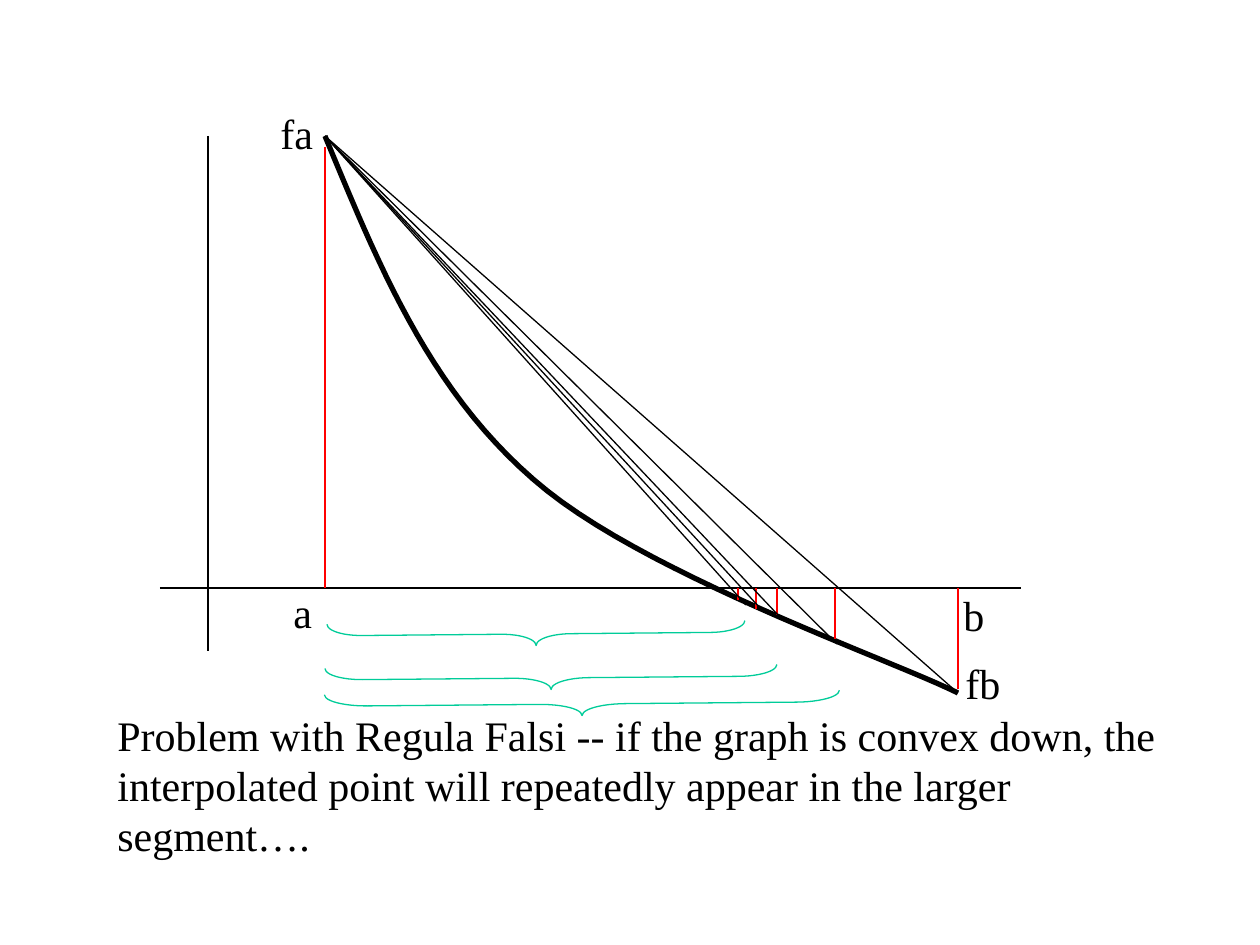
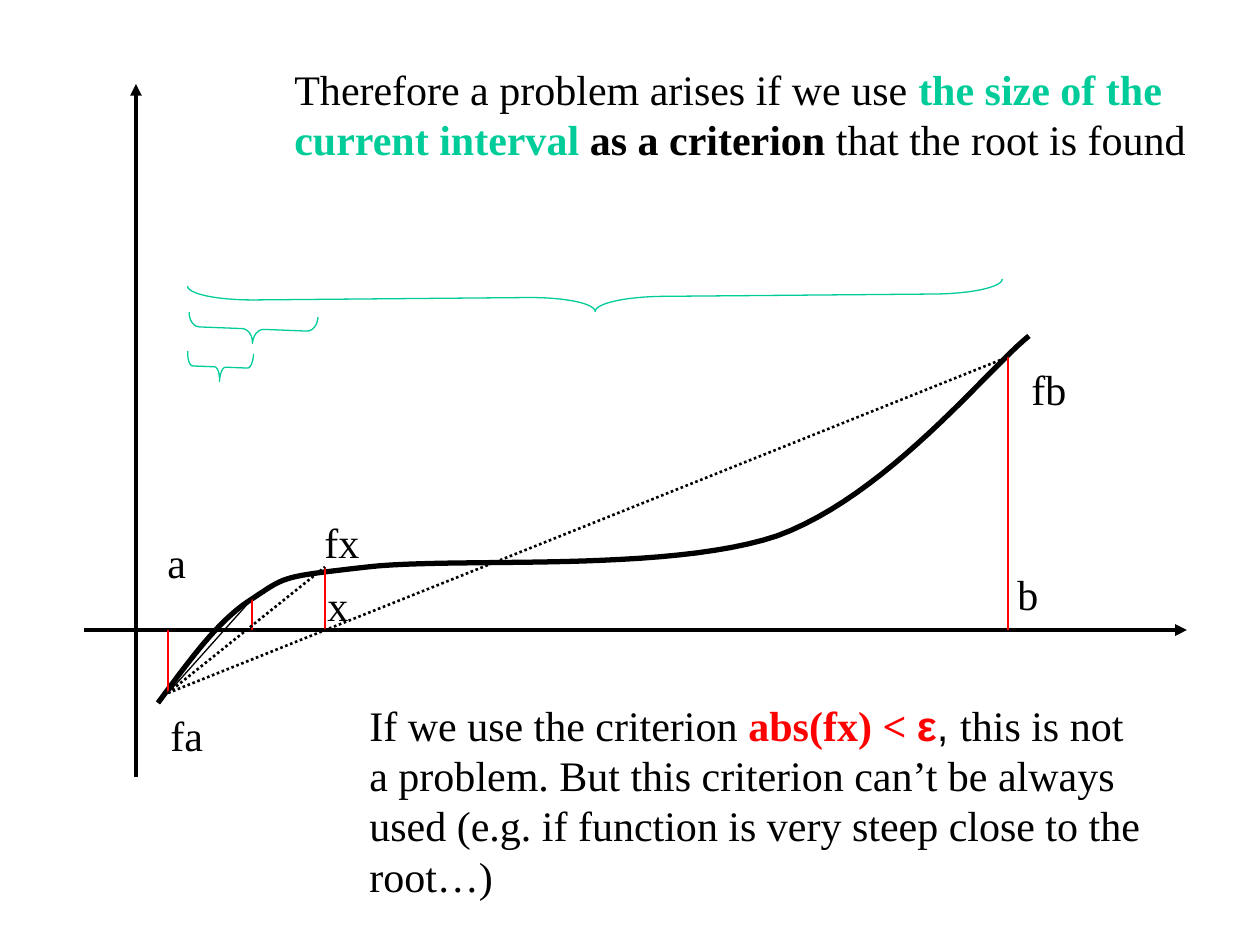
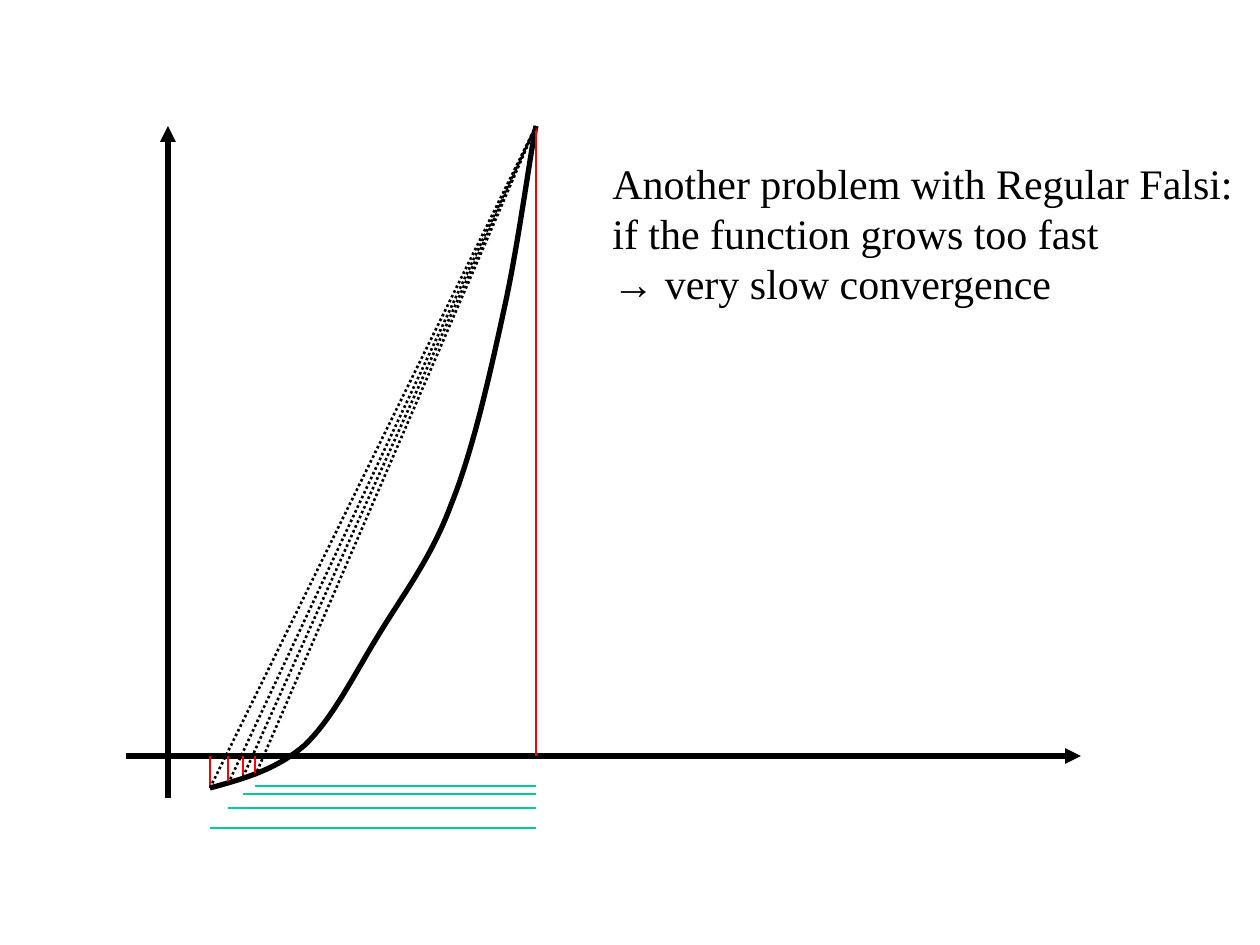
"""Build three slides on the weaknesses of the Regula Falsi method."""
from lxml.etree import SubElement
from pptx import Presentation
from pptx.dml.color import RGBColor
from pptx.enum.dml import MSO_LINE
from pptx.enum.shapes import MSO_CONNECTOR, MSO_SHAPE
from pptx.enum.text import MSO_AUTO_SIZE
from pptx.oxml.ns import qn
from pptx.util import Pt

PX = 914400 / 126
COLORS = {"ink": "000000", "drop": "FF0000", "interval": "00CC99"}
SERIF, SANS = "Times New Roman", "Arial"
TEXT_SIZE = 24
CURVE_WEIGHT = 3
CURVE_STEPS = 24
LABEL_HEIGHT = 63
BREAK = "\n"

CONVEX = {
    "axes": [((208, 136), (208, 651), 0.75), ((160, 588), (1021, 588), 1.5)],
    "arrows": False,
    "curve": [(325, 136), (377, 261), (427, 387), (533, 479),
              (638, 572), (887, 658), (958, 693)],
    "base": 588,
    "drops": [(325, 147, 1.5), (958, 689, 0.75), (835, 639, 0.75),
              (777, 615, 0.75), (756, 609, 0.75), (738, 600, 0.75)],
    "chords": [((336, 147), (837, 644), 0.75, False)]
    + [((325, 136), end, 0.75, False)
       for end in [(779, 616), (761, 609), (746, 605), (958, 693)]],
    "braces": [(536, 634, 418, 23, 89.5), (551, 678, 452, 23, 89.5),
               (582, 704, 515, 23, 89.5)],
    "intervals": [],
    "labels": [("a", 281, 580, 44), ("b", 951, 583, 45),
               ("fb", 953, 651, 60), ("fa", 268, 101, 58)],
    "notes": [((105, 703, 1071, 164), True, [
        [("Problem with Regula Falsi -- if the graph is convex down, the "
          "interpolated point will repeatedly appear in the larger segment….",)],
    ])],
}

CRITERION = {
    "axes": [((136, 777), (136, 84), 2.25), ((84, 630), (1187, 630), 2.25)],
    "arrows": True,
    "curve": [(158, 703), (188, 663), (217, 621), (252, 599),
              (287, 576), (280, 577), (368, 567),
              (455, 557), (667, 573), (777, 536),
              (887, 496), (987, 370), (1029, 336)],
    "base": 630,
    "drops": [(168, 693, 0.75), (1008, 357, 0.75), (325, 567, 0.75), (252, 599, 0.75)],
    "chords": [((168, 693), (1008, 357), 1.5, True),
               ((168, 693), (325, 567), 1.5, True),
               ((168, 693), (252, 599), 0.75, False)],
    "braces": [(595, 297, 815, 29, 89.5), (253, 329, 129, 29, 92.2),
               (220, 367, 66, 29, 92.2)],
    "intervals": [],
    "labels": [("a", 155, 530, 44), ("b", 1005, 562, 45), ("fa", 158, 703, 58),
               ("fb", 1019, 357, 60), ("x", 315, 573, 45), ("fx", 312, 510, 60)],
    "notes": [
        ((282, 57, 917, 113), False, [
            [("Therefore a problem arises if we use ",),
             ("the size of the", "interval", True)],
            [("current interval", "interval", True),
             (" as a criterion", "ink", True),
             (" that the root is found",)],
        ]),
        ((357, 693, 796, 214), False, [
            [("If we use the criterion ",), ("abs(fx) < ", "drop", True),
             ("ε", "drop", True, SANS), (", ", "ink", False, SANS),
             ("this is not",), (BREAK,),
             ("a problem. But this criterion can’t be always",)],
            [("used (e.g. if function is very steep close to the",), (BREAK,),
             ("root…)",)],
        ]),
    ],
}

STEEP_TOP = (536, 126)
STEEP_POINTS = [(210, 788, 828), (228, 784, 808), (243, 777, 794), (255, 776, 786)]
STEEP = {
    "axes": [((168, 798), (168, 126), 3), ((126, 756), (1081, 756), 3)],
    "arrows": True,
    "curve": [(210, 788), (243, 779), (276, 770), (305, 745),
              (333, 718), (354, 675), (378, 636),
              (402, 596), (431, 559), (451, 505),
              (473, 451), (490, 374), (504, 310),
              (518, 247), (530, 156), STEEP_TOP],
    "base": 756,
    "drops": [(x, y, 1.5) for x, y, _ in STEEP_POINTS] + [(*STEEP_TOP, 1.5)],
    "chords": [((x, y), STEEP_TOP, 1.5, True) for x, y, _ in STEEP_POINTS],
    "braces": [],
    "intervals": [((x, level), (STEEP_TOP[0], level)) for x, _, level in STEEP_POINTS],
    "labels": [],
    "notes": [((600, 151, 660, 164), True, [
        [("Another problem with Regular Falsi: if the function grows too fast",)],
        [("→", "ink", False, SANS), (" very slow convergence",)],
    ])],
}


def emu(*lengths):
    return [round(length * PX) for length in lengths]


def rgb(color):
    return RGBColor.from_string(COLORS[color])


def stroke(line, color, weight):
    line.color.rgb = rgb(color)
    line.width = Pt(weight)


def add_line(slide, start, end, color, weight, dotted=False, arrow=False):
    connector = slide.shapes.add_connector(MSO_CONNECTOR.STRAIGHT, *emu(*start, *end))
    stroke(connector.line, color, weight)
    if dotted:
        connector.line.dash_style = MSO_LINE.ROUND_DOT
    properties = connector._element.spPr
    if arrow:
        SubElement(properties.find(qn("a:ln")), qn("a:tailEnd"), type="triangle")
    SubElement(properties, qn("a:effectLst"))


def bezier(p0, p1, p2, p3, t):
    s = 1 - t
    return [s**3 * a + 3 * s * s * t * b + 3 * s * t * t * c + t**3 * d
            for a, b, c, d in zip(p0, p1, p2, p3)]


def add_curve(slide, knots):
    points = [emu(*bezier(*knots[i:i + 4], step / CURVE_STEPS))
              for i in range(0, len(knots) - 1, 3)
              for step in range(1, CURVE_STEPS + 1)]
    builder = slide.shapes.build_freeform(*emu(*knots[0]), scale=1.0)
    builder.add_line_segments(points, close=False)
    curve = builder.convert_to_shape()
    curve.shadow.inherit = False
    curve.fill.background()
    stroke(curve.line, "ink", CURVE_WEIGHT)


def add_brace(slide, center_x, center_y, length, depth, rotation):
    brace = slide.shapes.add_shape(
        MSO_SHAPE.RIGHT_BRACE,
        *emu(center_x - depth / 2, center_y - length / 2, depth, length))
    brace.adjustments[0] = length / 12 / depth
    brace.rotation = rotation
    brace.shadow.inherit = False
    brace.fill.background()
    stroke(brace.line, "interval", 0.75)


def add_run(paragraph, text, color="ink", bold=False, font=SERIF):
    if text == BREAK:
        paragraph.add_line_break()
        return
    run = paragraph.add_run()
    run.text = text
    run.font.name = font
    run.font.size = Pt(TEXT_SIZE)
    run.font.bold = bold
    run.font.color.rgb = rgb(color)


def add_text(slide, box, wrap, paragraphs):
    frame = slide.shapes.add_textbox(*emu(*box)).text_frame
    frame.word_wrap = wrap
    frame.auto_size = MSO_AUTO_SIZE.SHAPE_TO_FIT_TEXT
    for i, runs in enumerate(paragraphs):
        paragraph = frame.add_paragraph() if i else frame.paragraphs[0]
        for run in runs:
            add_run(paragraph, *run)


def add_graph(slide, graph):
    for start, end, weight in graph["axes"]:
        add_line(slide, start, end, "ink", weight, arrow=graph["arrows"])
    add_curve(slide, graph["curve"])
    for x, y, weight in graph["drops"]:
        add_line(slide, (x, graph["base"]), (x, y), "drop", weight)
    for start, end, weight, dotted in graph["chords"]:
        add_line(slide, start, end, "ink", weight, dotted)
    for brace in graph["braces"]:
        add_brace(slide, *brace)
    for start, end in graph["intervals"]:
        add_line(slide, start, end, "interval", 1.5)
    for label, left, top, width in graph["labels"]:
        add_text(slide, (left, top, width, LABEL_HEIGHT), False, [[(label,)]])
    for note in graph["notes"]:
        add_text(slide, *note)


def main():
    deck = Presentation()
    deck.slide_width, deck.slide_height = emu(1260, 945)
    for graph in (CONVEX, CRITERION, STEEP):
        add_graph(deck.slides.add_slide(deck.slide_layouts[6]), graph)
    deck.save("out.pptx")


if __name__ == "__main__":
    main()
